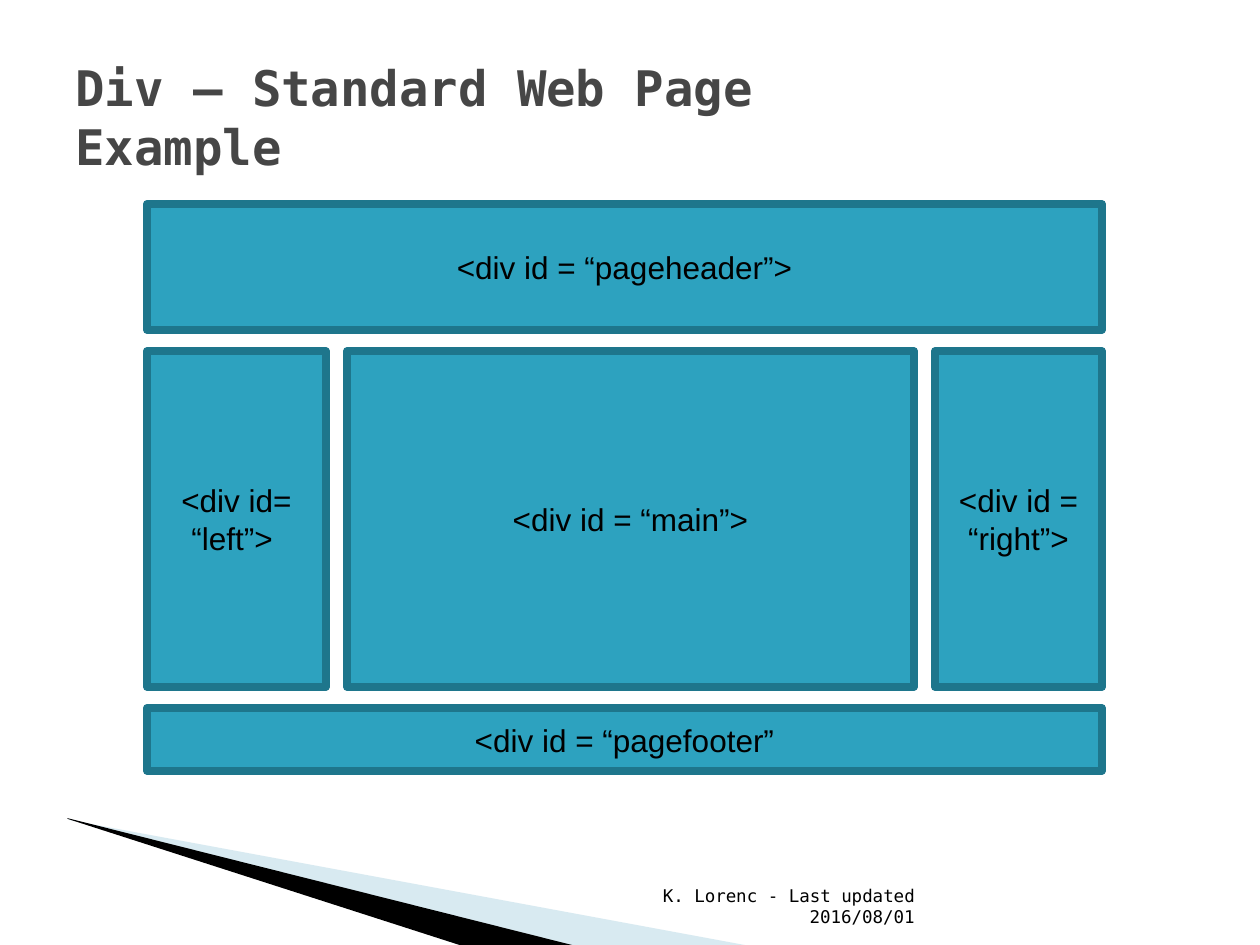
"""Build a slide showing the div layout of a standard web page."""
from lxml import etree
from pptx import Presentation
from pptx import util as u
from pptx.dml.color import RGBColor
from pptx.enum import shapes, text
from pptx.oxml import ns

PX = 914400 / 126
BLACK = RGBColor(0x00, 0x00, 0x00)
GREY = RGBColor(0x46, 0x46, 0x46)
TEAL = RGBColor(0x2D, 0xA2, 0xBF)
DARK_TEAL = RGBColor(0x1E, 0x76, 0x8C)
PALE_BLUE = RGBColor(0x9F, 0xCB, 0xDC)
MONO = "DejaVu Sans Mono"


def px(*lengths):
    return [u.Emu(round(length * PX)) for length in lengths]


def write(shape, words, size=18, font="Arial", color=BLACK, bold=False,
          align=text.PP_ALIGN.CENTER, anchor=text.MSO_ANCHOR.MIDDLE):
    frame = shape.text_frame
    frame.word_wrap = True
    frame.vertical_anchor = anchor
    paragraph = frame.paragraphs[0]
    paragraph.alignment = align
    run = paragraph.add_run()
    run.text = words
    run.font.size = u.Pt(size)
    run.font.name = font
    run.font.bold = bold
    run.font.color.rgb = color


presentation = Presentation()
presentation.slide_width, presentation.slide_height = px(1260, 945)
slide = presentation.slides.add_slide(presentation.slide_layouts[6])

wedges = [
    ([(69, 820), (750, 946), (575, 946), (69, 819)], PALE_BLUE, 40),
    ([(67, 818), (576, 946), (469, 948), (68, 819)], BLACK, 100),
]
for points, color, opacity in wedges:
    builder = slide.shapes.build_freeform(*points[0], scale=PX)
    builder.add_line_segments(points[1:], close=True)
    wedge = builder.convert_to_shape()
    wedge.shadow.inherit = False
    wedge.line.fill.background()
    wedge.fill.solid()
    wedge.fill.fore_color.rgb = color
    if opacity < 100:
        fill_color = wedge.element.spPr.find(".//" + ns.qn("a:srgbClr"))
        etree.SubElement(fill_color, ns.qn("a:alpha"), val=str(opacity * 1000))

title = slide.shapes.add_textbox(*px(63, 38, 730, 157))
write(title, "Div – Standard Web Page Example", size=28, font=MONO, color=GREY,
      bold=True, align=text.PP_ALIGN.LEFT)
footer = slide.shapes.add_textbox(*px(576, 883, 351, 50))
write(footer, "K. Lorenc - Last updated 2016/08/01", size=10, font=MONO,
      align=text.PP_ALIGN.RIGHT, anchor=text.MSO_ANCHOR.BOTTOM)

LEFT, TOP, GAP = 147, 204, 21
rows = [
    (126, [(955, "<div id = “pageheader”>")]),
    (336, [(179, "<div id= “left”> "), (567, "<div id = “main”>"),
           (167, "<div id = “right”>")]),
    (63, [(955, "<div id = “pagefooter”")]),
]
y = TOP
for height, boxes in rows:
    x = LEFT
    for width, words in boxes:
        box = slide.shapes.add_shape(shapes.MSO_SHAPE.RECTANGLE,
                                     *px(x, y, width, height))
        box.shadow.inherit = False
        box.fill.solid()
        box.fill.fore_color.rgb = TEAL
        box.line.color.rgb = DARK_TEAL
        box.line.width = u.Pt(4.33)
        write(box, words)
        x += width + GAP
    y += height + GAP

presentation.save("out.pptx")
